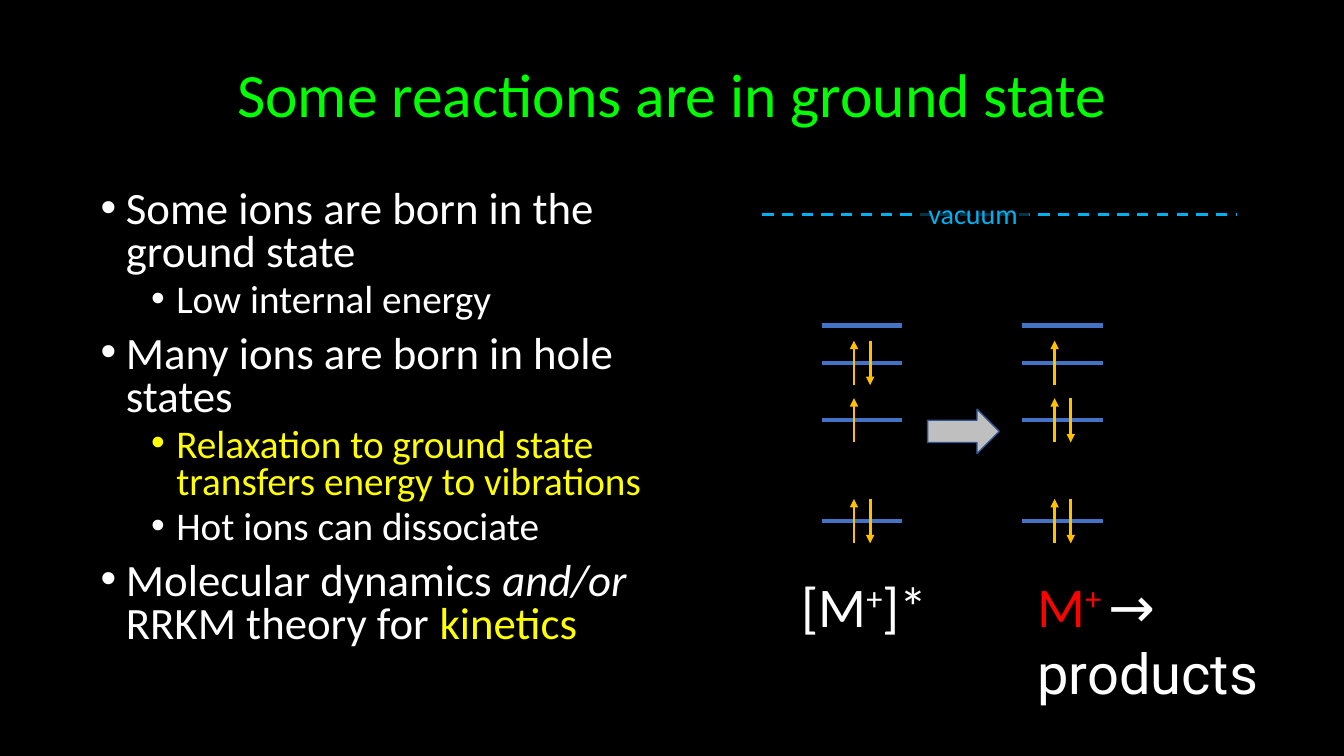
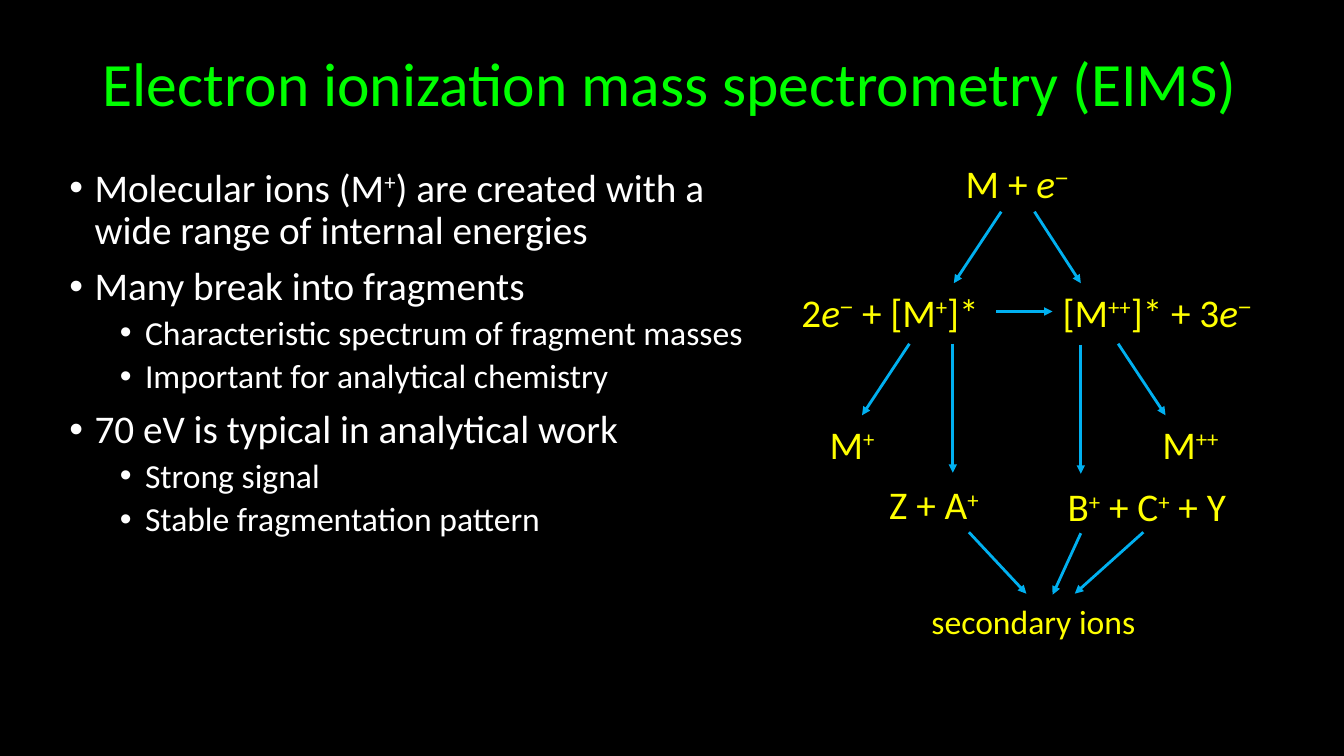
from lxml import etree
from pptx import Presentation
from pptx import util as u
from pptx.dml.color import RGBColor
from pptx.enum import dml, shapes, text
from pptx.oxml import ns

EMU_PER_PX = 9144  # 100 px to the inch
BLACK, WHITE, GREY = "000000", "FFFFFF", "BFBFBF"
GREEN, YELLOW, RED = "00FF00", "FFFF00", "FF0000"
SKY, BLUE, NAVY, AMBER = "00B0F0", "4472C4", "325491", "FFC000"
FONT = "Calibri"

LEVEL_HEIGHTS = (323, 360, 417, 517)
LEVEL_WIDTH = 80
SPIN_REACH = 22
SPIN_OFFSETS = (32, 48)


def px(length):
    return u.Emu(length * EMU_PER_PX)


def box_emu(box):
    return [px(length) for length in box]


def color(value):
    return RGBColor.from_string(value)


def sub(parent, tag, **attributes):
    return etree.SubElement(parent, ns.qn(tag), attributes)


def sup(wording, **style):
    return wording, {"raised": True, **style}


ELECTRON = [("e", {"italic": True}), sup("−", font="Arial")]


def write_runs(paragraph, runs, size, ink):
    """Runs are plain strings or (wording, style) pairs."""
    for item in runs:
        wording, style = (item, {}) if isinstance(item, str) else item
        run = paragraph.add_run()
        run.text = wording
        run.font.name = style.get("font", FONT)
        run.font.size = u.Pt(size)
        run.font.italic = style.get("italic", False)
        run.font.color.rgb = color(style.get("ink", ink))
        if style.get("raised"):
            run.font._element.set("baseline", "30000")


def add_label(slide, box, runs, size, ink, wrap=False):
    frame = slide.shapes.add_textbox(*box_emu(box)).text_frame
    frame.word_wrap = wrap
    write_runs(frame.paragraphs[0], runs, size, ink)
    return frame


def add_line(slide, start, end, ink, width, arrow=False, dashed=False):
    line = slide.shapes.add_connector(
        shapes.MSO_CONNECTOR.STRAIGHT, *box_emu(start + end))
    line.line.color.rgb = color(ink)
    line.line.width = u.Pt(width)
    if dashed:
        line.line.dash_style = dml.MSO_LINE.DASH
    properties = line._element.spPr
    if arrow:
        sub(properties.find(ns.qn("a:ln")), "a:tailEnd", type="triangle")
    sub(properties, "a:effectLst")


def add_block(slide, preset, box, fill):
    block = slide.shapes.add_shape(preset, *box_emu(box))
    block.shadow.inherit = False
    block.fill.solid()
    block.fill.fore_color.rgb = color(fill)
    block.line.fill.background()
    return block


def add_slide(presentation, title, title_box, alignment):
    slide = presentation.slides.add_slide(presentation.slide_layouts[6])
    slide.background.fill.solid()
    slide.background.fill.fore_color.rgb = color(BLACK)
    frame = add_label(slide, title_box, [title], 44, GREEN, wrap=True)
    frame.vertical_anchor = text.MSO_ANCHOR.MIDDLE
    frame.paragraphs[0].line_spacing = 0.9
    frame.paragraphs[0].alignment = alignment
    return slide


def add_bullets(slide, box, items, sizes, line_spacing):
    """Items are (level, runs) pairs; sizes holds one text size per level."""
    frame = slide.shapes.add_textbox(*box_emu(box)).text_frame
    frame.word_wrap = True
    for index, (level, runs) in enumerate(items):
        paragraph = frame.add_paragraph() if index else frame.paragraphs[0]
        paragraph.level = level
        paragraph.line_spacing = line_spacing
        paragraph.space_before = u.Pt((10, 5)[level])
        properties = paragraph._p.get_or_add_pPr()
        properties.set("marL", str(px(25 + 50 * level)))
        properties.set("indent", str(px(-25)))
        sub(properties, "a:buFont", typeface="Arial")
        sub(properties, "a:buChar", char="•")
        write_runs(paragraph, runs, sizes[level], WHITE)


def add_energy_levels(slide, left, top, occupancy):
    """Draw one column of levels, each holding up to two opposed spins."""
    for height, electrons in zip(LEVEL_HEIGHTS, occupancy):
        y = top + height - LEVEL_HEIGHTS[0]
        add_line(slide, (left, y), (left + LEVEL_WIDTH, y), BLUE, 3)
        for spin, offset in enumerate(SPIN_OFFSETS[:electrons]):
            reach = -SPIN_REACH if spin else SPIN_REACH
            x = left + offset
            add_line(slide, (x, y + reach), (x, y - reach), AMBER, 2, arrow=True)


def add_relaxation_diagram(slide, left, top):
    add_line(slide, (left, top), (left + 470, top), SKY, 2, dashed=True)
    add_energy_levels(slide, left + 59, top + 110, (0, 2, 1, 2))
    add_energy_levels(slide, left + 258, top + 110, (0, 1, 2, 2))

    arrow = add_block(slide, shapes.MSO_SHAPE.RIGHT_ARROW,
                      (left + 164, top + 193, 71, 44), GREY)
    arrow.line.color.rgb = color(NAVY)
    arrow.line.width = u.Pt(1)

    vacuum = add_block(slide, shapes.MSO_SHAPE.RECTANGLE,
                       (left + 155, top - 23, 110, 44), BLACK)
    fill = vacuum._element.spPr.find(ns.qn("a:solidFill"))
    sub(fill[0], "a:alpha", val="70000")
    paragraph = vacuum.text_frame.paragraphs[0]
    paragraph.alignment = text.PP_ALIGN.LEFT
    write_runs(paragraph, ["vacuum"], 20, SKY)

    add_label(slide, (left + 29, top + 349, 149, 77),
              ["[M", sup("+"), "]*"], 40, WHITE)
    products = ["M", sup("+ "), ("→ products", {"font": "Roboto", "ink": WHITE})]
    add_label(slide, (left + 263, top + 349, 275, 148),
              products, 40, RED, wrap=True)


def add_ionization_scheme(slide, left, top):
    species = [
        (163, 0, 125, ["M + ", *ELECTRON]),
        (0, 128, 208, ["2", *ELECTRON, " + [M", sup("+"), "]*"]),
        (259, 128, 220, ["[M", sup("++"), "]* + 3", *ELECTRON]),
        (28, 259, 67, ["M", sup("+")]),
        (358, 259, 80, ["M", sup("++")]),
        (87, 319, 112, ["Z + A", sup("+")]),
        (264, 321, 183, ["B", sup("+"), " + C", sup("+"), " + Y"]),
    ]
    for x, y, width, runs in species:
        add_label(slide, (left + x, top + y, width, 57), runs, 28, YELLOW)
    add_label(slide, (left + 129, top + 438, 224, 50),
              ["secondary ions"], 24, YELLOW)

    steps = [
        (208, 57, 161, 128), (241, 57, 287, 128), (203, 156, 259, 156),
        (117, 188, 70, 259), (324, 188, 371, 259),
        (160, 188, 160, 316), (287, 189, 287, 317),
        (176, 375, 233, 436), (349, 375, 281, 436), (287, 376, 259, 437),
    ]
    for x1, y1, x2, y2 in steps:
        add_line(slide, (left + x1, top + y1), (left + x2, top + y2),
                 SKY, 2, arrow=True)


def build_ground_state(presentation):
    slide = add_slide(presentation, "Some reactions are in ground state",
                      (92, 40, 1150, 114), text.PP_ALIGN.CENTER)
    yellow = {"ink": YELLOW}
    add_bullets(slide, (90, 184, 575, 510), [
        (0, ["Some ions are born in the ground state"]),
        (1, ["Low internal energy"]),
        (0, ["Many ions are born in hole states"]),
        (1, [("Relaxation to ground state transfers energy to vibrations",
              yellow)]),
        (1, ["Hot ions can dissociate"]),
        (0, ["Molecular dynamics ", ("and/or ", {"italic": True}),
             "RRKM theory for ", ("kinetics", yellow)]),
    ], (32, 28), 0.8)
    add_relaxation_diagram(slide, 756, 213)


def build_electron_ionization(presentation):
    slide = add_slide(presentation,
                      "Electron ionization mass spectrometry (EIMS)",
                      (92, 40, 1150, 92), text.PP_ALIGN.LEFT)
    add_bullets(slide, (59, 162, 694, 514), [
        (0, ["Molecular ions (M", sup("+"),
             ") are created with a wide range of internal energies"]),
        (0, ["Many break into fragments"]),
        (1, ["Characteristic spectrum of fragment masses"]),
        (1, ["Important for analytical chemistry"]),
        (0, ["70 eV is typical in analytical work"]),
        (1, ["Strong signal"]),
        (1, ["Stable fragmentation pattern"]),
    ], (28, 24), 0.9)
    add_ionization_scheme(slide, 785, 153)


def main():
    presentation = Presentation()
    presentation.slide_width = px(1333)
    presentation.slide_height = px(750)
    build_ground_state(presentation)
    build_electron_ionization(presentation)
    presentation.save("out.pptx")


if __name__ == "__main__":
    main()
